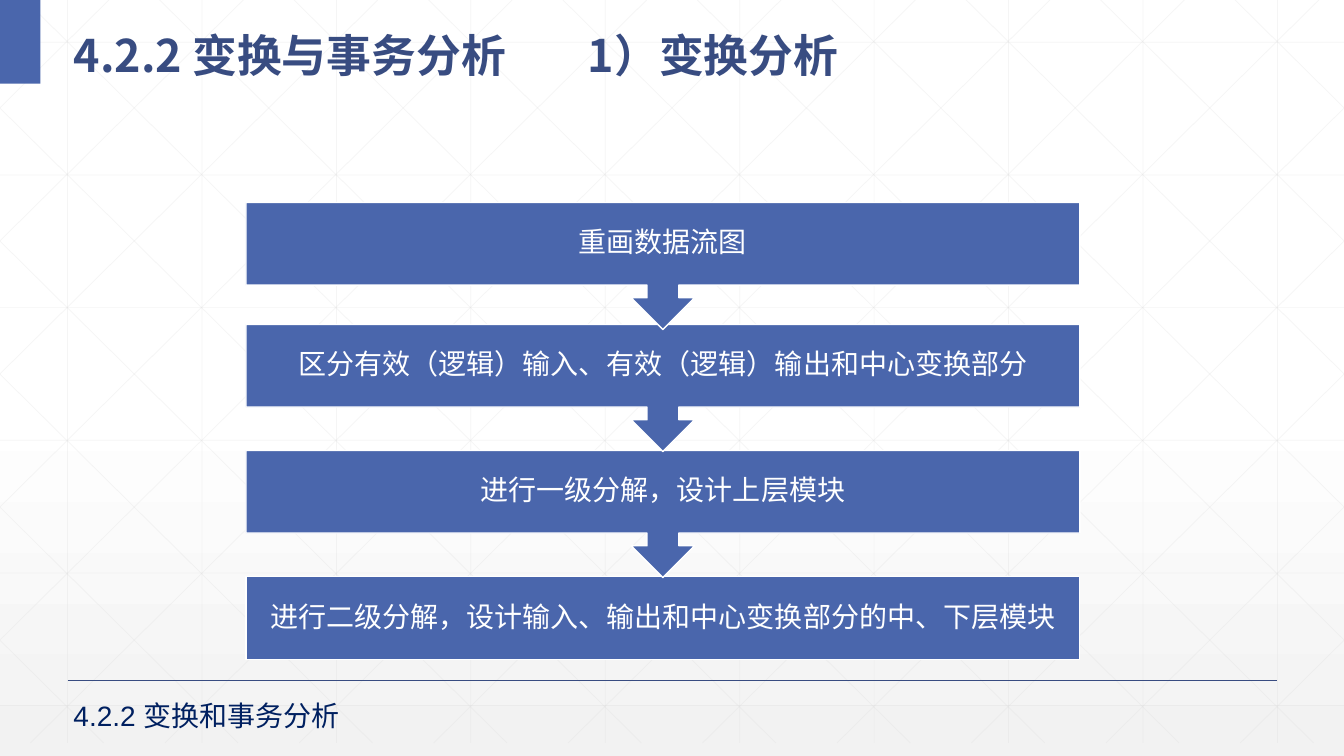
from dataclasses import dataclass

from pptx import Presentation
from pptx.dml.color import RGBColor
from pptx.enum import shapes, text
from pptx.oxml.ns import qn
from pptx.util import Inches, Pt

TITLE = "4.2.2 变换与事务分析\t1）变换分析"
FOOTER = "4.2.2 变换和事务分析"
STEPS = [
    ("重画数据流图", 2.01),
    ("区分有效（逻辑）输入、有效（逻辑）输出和中心变换部分", 3.22),
    ("进行一级分解，设计上层模块", 4.47),
    ("进行二级分解，设计输入、输出和中心变换部分的中、下层模块", 5.72),
]


@dataclass(frozen=True)
class Theme:
    blue: str = "4A66AC"
    dark_blue: str = "384C81"
    navy: str = "002060"
    white: str = "FFFFFF"
    shade: str = "F2F2F2"
    grid: str = "D9D9D9"
    latin: str = "Arial"
    cjk: str = "Noto Sans CJK SC"
    title_size: int = 32
    body_size: int = 20


THEME = Theme()
WIDTH, HEIGHT = 13.33, 7.5
GRID_BOTTOM = 7.37
PITCH_X, PITCH_Y = 4 / 3, 1.316
SLOPE = 0.99
BOX_LEFT, BOX_WIDTH, BOX_HEIGHT, CALLOUT_HEIGHT = 2.44, 8.27, 0.82, 1.26


def rgb(value):
    return RGBColor.from_string(value)


def format_run(r, size, color, latin, bold=False):
    r.font.size = Pt(size)
    r.font.bold = bold
    r.font.name = latin
    r.font.color.rgb = rgb(color)
    ea = r._r.get_or_add_rPr().makeelement(qn("a:ea"), {"typeface": THEME.cjk})
    r._r.rPr.find(qn("a:latin")).addnext(ea)


def add_line(parent, start, end, color, width, alpha=None):
    x1, y1, x2, y2 = (Inches(v) for v in (*start, *end))
    line = parent.add_connector(shapes.MSO_CONNECTOR.STRAIGHT, x1, y1, x2, y2)
    line.line.color.rgb = rgb(color)
    line.line.width = Pt(width)
    sp_pr = line._element.spPr
    sp_pr.append(sp_pr.makeelement(qn("a:effectLst"), {}))
    if alpha:
        clr = sp_pr.find(".//" + qn("a:srgbClr"))
        clr.append(clr.makeelement(qn("a:alpha"), {"val": str(alpha * 1000)}))


def add_block(s, kind, left, top, width, height):
    sp = s.shapes.add_shape(kind, Inches(left), Inches(top), Inches(width), Inches(height))
    sp.shadow.inherit = False
    sp.fill.solid()
    sp.fill.fore_color.rgb = rgb(THEME.blue)
    sp.line.fill.background()
    return sp


def add_background(s):
    fill = s.background.fill
    fill.gradient()
    fill.gradient_angle = 270
    for stop, position, color in zip(fill.gradient_stops, (0.53, 1), (THEME.white, THEME.shade)):
        stop.position = position
        stop.color.rgb = rgb(color)


def add_grid(s):
    lines = []
    for i in range(10):
        x = 0.67 + i * PITCH_X
        lines.append(((x, 0), (x, GRID_BOTTOM)))
    for i in range(6):
        y = 0.42 + i * PITCH_Y
        lines.append(((0, y), (WIDTH, y)))
    for i in range(-5, 10):
        x = 0.25 + i * PITCH_X
        x1 = max(x, 0)
        x2 = min(x + GRID_BOTTOM / SLOPE, WIDTH)
        y1, y2 = (x1 - x) * SLOPE, (x2 - x) * SLOPE
        lines.append(((x1, y1), (x2, y2)))
        lines.append(((WIDTH - x1, y1), (WIDTH - x2, y2)))
    group = s.shapes.add_group_shape()
    for start, end in lines:
        add_line(group.shapes, start, end, THEME.grid, 0.5, 25)


def add_title(s):
    title = s.shapes.title
    s.shapes._spTree.append(title._element)
    title.left, title.top = Inches(0.63), Inches(0.1)
    title.width, title.height = Inches(12.42), Inches(0.73)
    tf = title.text_frame
    tf.text = TITLE
    tf.word_wrap = True
    tf.auto_size = text.MSO_AUTO_SIZE.NONE
    tf.vertical_anchor = text.MSO_ANCHOR.MIDDLE
    p = tf.paragraphs[0]
    p.alignment = text.PP_ALIGN.LEFT
    p.line_spacing = 1.3
    p_pr = p._p.get_or_add_pPr()
    tabs = p_pr.makeelement(qn("a:tabLst"), {})
    tabs.append(tabs.makeelement(qn("a:tab"), {"pos": str(Inches(5.1)), "algn": "l"}))
    p_pr.append(tabs)
    for r in p.runs:
        format_run(r, THEME.title_size, THEME.dark_blue, THEME.cjk, True)


def add_step(s, label, top, is_last):
    kind = shapes.MSO_SHAPE.RECTANGLE if is_last else shapes.MSO_SHAPE.DOWN_ARROW_CALLOUT
    height = BOX_HEIGHT if is_last else CALLOUT_HEIGHT
    sp = add_block(s, kind, BOX_LEFT, top, BOX_WIDTH, height)
    sp.line.color.rgb = rgb(THEME.white)
    sp.line.width = Pt(1)
    tf = sp.text_frame
    tf.text = label
    tf.word_wrap = True
    tf.vertical_anchor = text.MSO_ANCHOR.MIDDLE
    tf.margin_left = tf.margin_right = tf.margin_top = tf.margin_bottom = Inches(0.16)
    p = tf.paragraphs[0]
    p.alignment = text.PP_ALIGN.CENTER
    p.line_spacing = 0.9
    format_run(p.runs[0], THEME.body_size, THEME.white, THEME.latin)


def add_footer(s):
    sp = s.shapes.add_textbox(Inches(0.63), Inches(6.88), Inches(4.69), Inches(0.44))
    tf = sp.text_frame
    tf.text = FOOTER
    tf.word_wrap = True
    tf.auto_size = text.MSO_AUTO_SIZE.SHAPE_TO_FIT_TEXT
    format_run(tf.paragraphs[0].runs[0], THEME.body_size, THEME.navy, THEME.latin)


def main():
    prs = Presentation()
    prs.slide_width, prs.slide_height = Inches(WIDTH), Inches(HEIGHT)
    s = prs.slides.add_slide(prs.slide_layouts[5])
    add_background(s)
    add_grid(s)
    add_line(s.shapes, (0.67, 6.75), (12.67, 6.75), THEME.dark_blue, 1)
    add_block(s, shapes.MSO_SHAPE.RECTANGLE, 0, 0, 0.4, 0.83)
    add_title(s)
    for label, top in reversed(STEPS):
        add_step(s, label, top, label == STEPS[-1][0])
    add_footer(s)
    prs.save("out.pptx")


if __name__ == "__main__":
    main()
